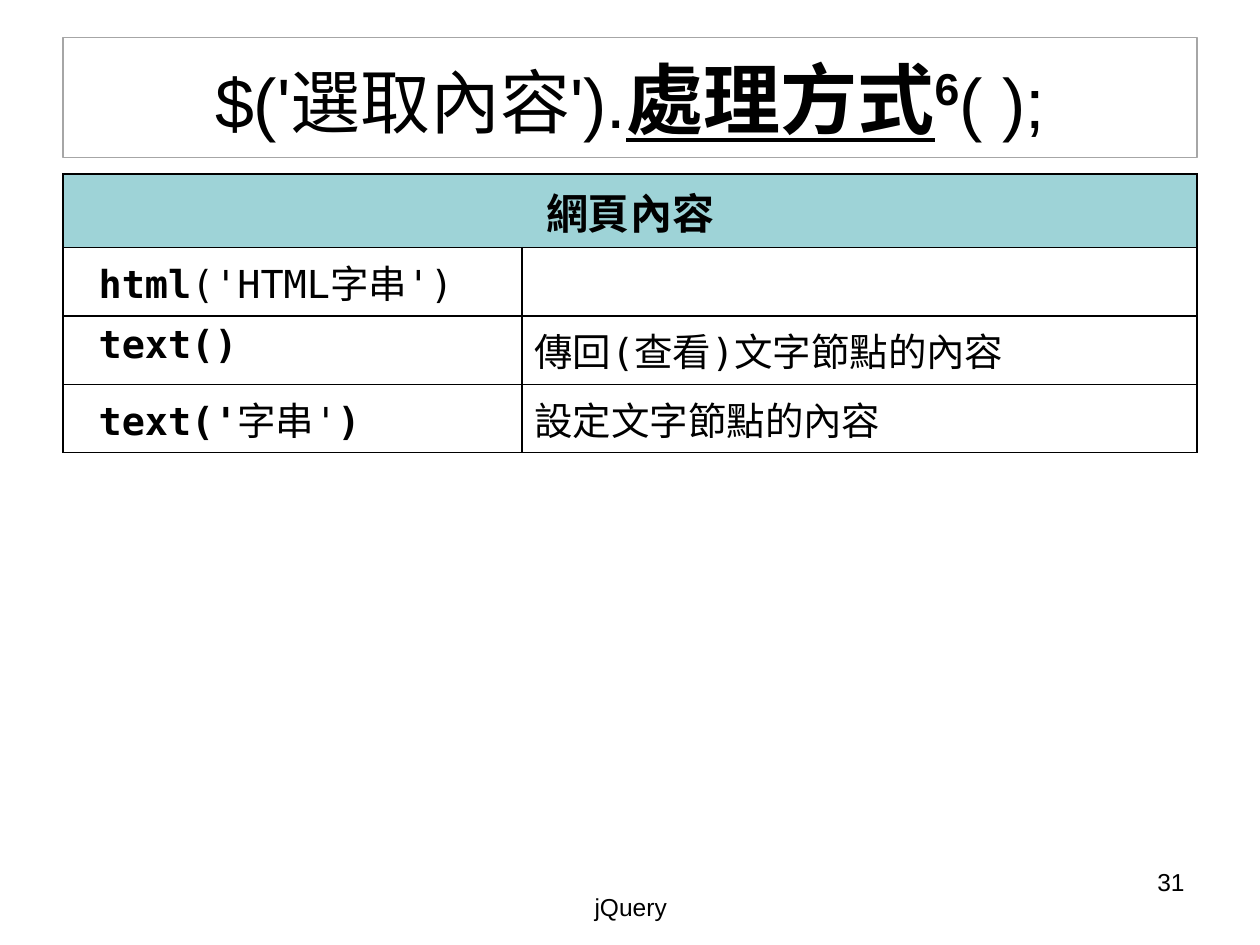
from lxml import etree
from pptx import Presentation
from pptx.dml.color import RGBColor
from pptx.enum.text import MSO_ANCHOR, MSO_AUTO_SIZE, PP_ALIGN
from pptx.oxml.ns import qn
from pptx.util import Cm, Pt

LEFT, MID, RIGHT = PP_ALIGN.LEFT, PP_ALIGN.CENTER, PP_ALIGN.RIGHT
BLACK = RGBColor(0, 0, 0)
GREY = RGBColor(0xA6, 0xA6, 0xA6)
TEAL = RGBColor(0x9E, 0xD3, 0xD7)
SANS, MONO = "Arial", "DejaVu Sans Mono"

# Each run is its text and its font format
PLAIN = {"bold": False}
BOLD = {"bold": True}
TITLE = [
    ("$('選取內容').", {"size": Pt(40)}),
    ("處理方式", {"size": Pt(44), "bold": True, "underline": True}),
    ("6", {"size": Pt(44), "bold": True}),
    ("( );", {"size": Pt(40)}),
]
HEAD = [("網頁內容", BOLD)]
ROWS = [
    ([("html", BOLD), ("('HTML字串')", PLAIN)], []),
    ([("text()", BOLD)], [("傳回(查看)文字節點的內容", PLAIN)]),
    ([("text('", BOLD), ("字串'", PLAIN), (")", BOLD)],
     [("設定文字節點的內容", PLAIN)]),
]
NOTES = [
    ("31", RIGHT, (18.21, 17.35, 5.92, 1.32)),
    ("jQuery", MID, (8.69, 17.86, 8.05, 1.27)),
]
EDGE, WIDE = 1.27, 22.86
COLS = (9.25, 13.61)
HEAD_H, ROW_H = 1.27, 1.19
INDENT = 0.72


def write(frame, runs, align, base):
    """Fill the first paragraph with runs, each laid over the base format."""
    para = frame.paragraphs[0]
    para.alignment = align
    for text, form in runs:
        run = para.add_run()
        run.text = text
        run.font.color.rgb = BLACK
        for key, value in {**base, **form}.items():
            setattr(run.font, key, value)
    return para


def border(cell):
    props = cell._tc.get_or_add_tcPr()
    for side in ("lnL", "lnR", "lnT", "lnB"):
        line = etree.SubElement(props, qn("a:" + side), w=str(Pt(1)))
        fill = etree.SubElement(line, qn("a:solidFill"))
        etree.SubElement(fill, qn("a:srgbClr"), val=str(BLACK))


def add_title(slide):
    box = slide.shapes.title
    box.left, box.top, box.width, box.height = map(Cm, (EDGE, 0.76, WIDE, 2.41))
    box.line.color.rgb = GREY
    box.line.width = Pt(0.75)
    frame = box.text_frame
    frame.auto_size = MSO_AUTO_SIZE.NONE
    frame.vertical_anchor = MSO_ANCHOR.MIDDLE
    para = write(frame, TITLE, MID, {"name": SANS, "bold": False})
    para.runs[2].font._element.set("baseline", "30000")


def add_grid(slide):
    count = len(ROWS) + 1
    high = HEAD_H + ROW_H * len(ROWS)
    table = slide.shapes.add_table(
        count, len(COLS), Cm(EDGE), Cm(3.51), Cm(WIDE), Cm(high)).table
    for col, wide in zip(table.columns, COLS):
        col.width = Cm(wide)
    for i, row in enumerate(table.rows):
        row.height = Cm(ROW_H if i else HEAD_H)
        for cell in row.cells:
            border(cell)
            if i:
                cell.fill.background()
            else:
                cell.fill.solid()
                cell.fill.fore_color.rgb = TEAL

    head = table.cell(0, 0)
    head.merge(table.cell(0, len(COLS) - 1))
    write(head.text_frame, HEAD, MID, {"name": MONO, "size": Pt(24)})
    for i, row in enumerate(ROWS, 1):
        table.cell(i, 0).margin_left = Cm(INDENT)
        for j, runs in enumerate(row):
            write(table.cell(i, j).text_frame, runs, LEFT,
                  {"name": MONO, "size": Pt(22)})


def add_notes(slide):
    for text, align, place in NOTES:
        frame = slide.shapes.add_textbox(*map(Cm, place)).text_frame
        frame.word_wrap = True
        write(frame, [(text, PLAIN)], align, {"name": SANS, "size": Pt(14)})


def main():
    deck = Presentation()
    deck.slide_width, deck.slide_height = Cm(25.4), Cm(19.05)
    slide = deck.slides.add_slide(deck.slide_layouts[5])
    add_title(slide)
    add_grid(slide)
    add_notes(slide)
    deck.save("out.pptx")


if __name__ == "__main__":
    main()
